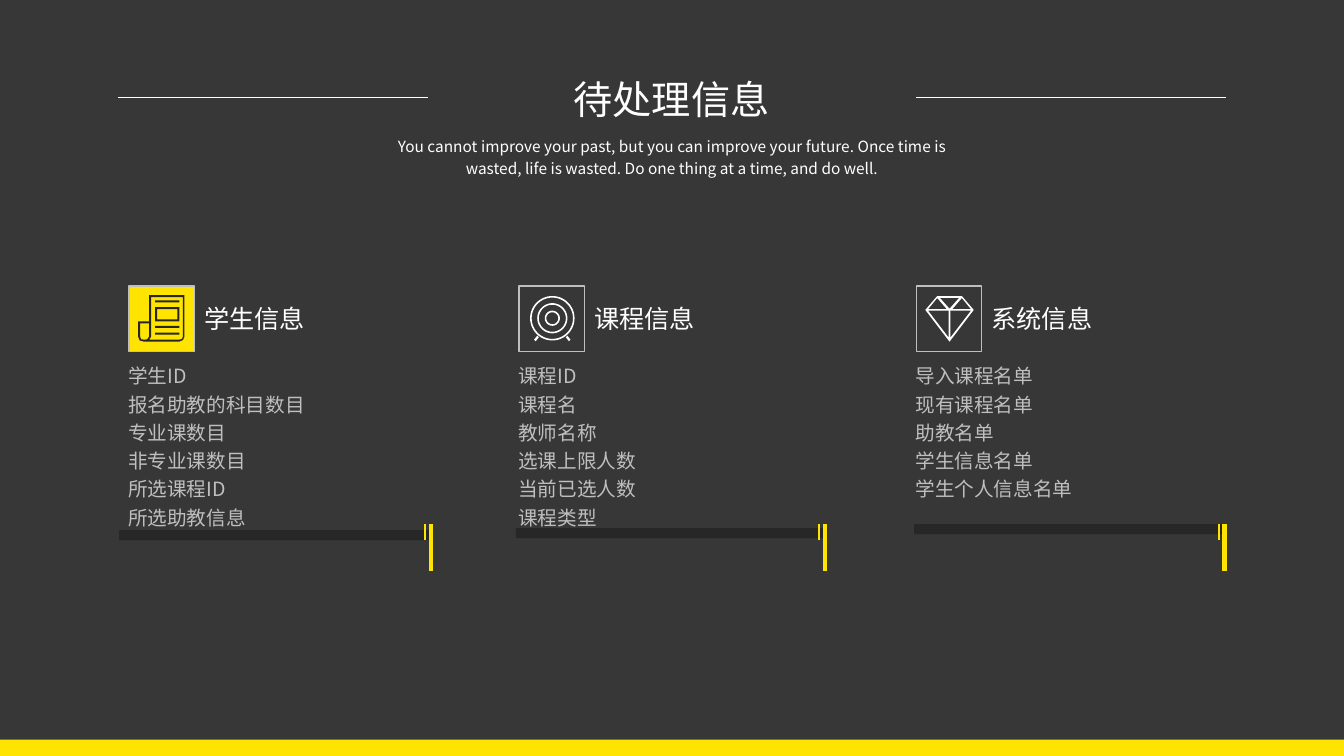
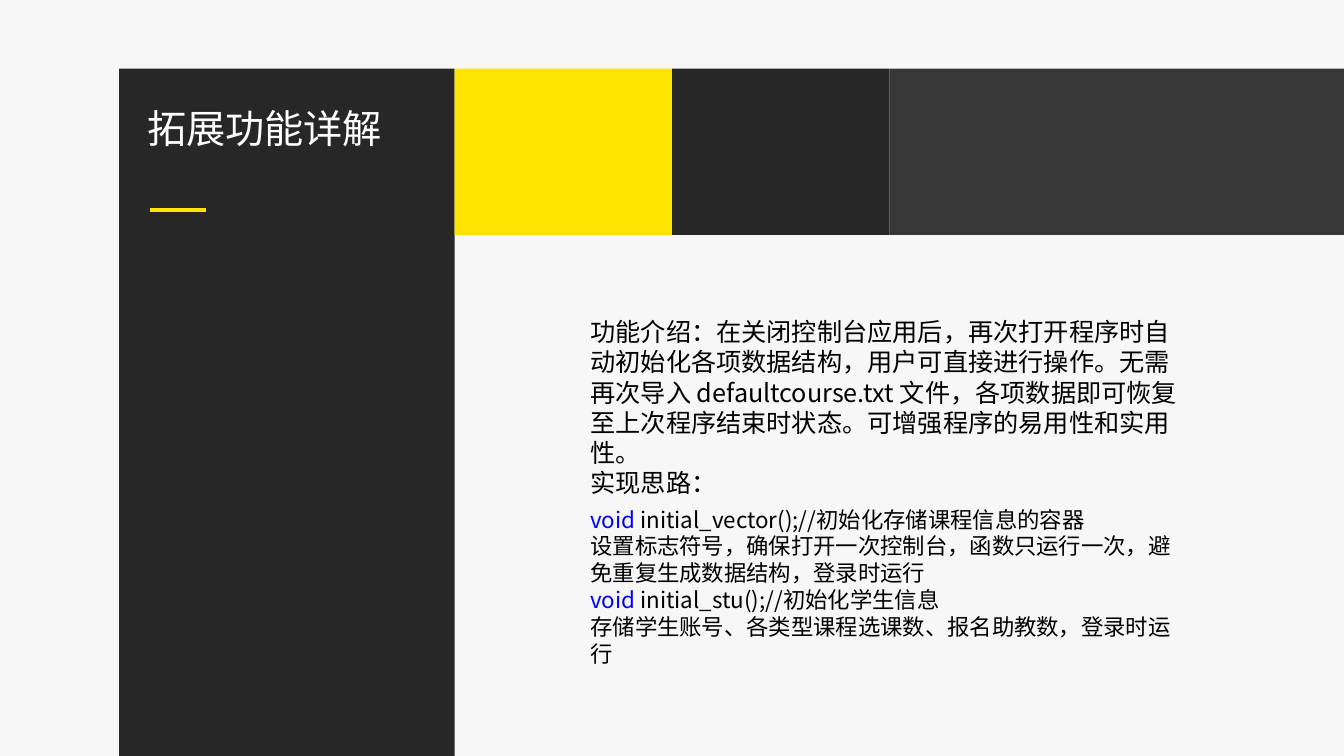
import math
from dataclasses import dataclass
from typing import NamedTuple

from lxml import etree
from pptx import Presentation
from pptx import util as u
from pptx.dml.color import RGBColor
from pptx.enum import shapes, text
from pptx.oxml import ns

# Shared style
YELLOW = RGBColor(0xFF, 0xE4, 0x01)
DARK = RGBColor(0x27, 0x27, 0x27)
GREY = RGBColor(0x37, 0x37, 0x37)
SILVER = RGBColor(0xBF, 0xBF, 0xBF)
PAPER = RGBColor(0xF7, 0xF7, 0xF7)
WHITE = RGBColor(0xFF, 0xFF, 0xFF)
BLACK = RGBColor(0, 0, 0)
BLUE = RGBColor(0, 0, 0xFF)
FONT = "Noto Sans CJK SC"
WIDTH, HEIGHT = 33.87, 19.05
LEFT, CENTER = text.PP_ALIGN.LEFT, text.PP_ALIGN.CENTER
ICON_SIZE = 1.65
CARD_TOP = 7.21
TICK_TOP = 13.21

Point = tuple[float, float]
Contour = list[Point]


class Box(NamedTuple):
    left: float
    top: float
    width: float
    height: float

    def lengths(self) -> list[u.Length]:
        return [u.Cm(value) for value in self]


class Run(NamedTuple):
    words: str
    color: RGBColor


@dataclass
class TextStyle:
    size: float
    align: int = LEFT
    wrap: bool = True
    spacing: float = 1.0


@dataclass
class Card:
    heading: str
    items: list[str]
    left: float
    icon: list[Contour]
    icon_color: RGBColor
    tile_color: RGBColor | None
    bar_left: float
    bar_top: float
    tick_x: float
    body_height: float = 4.5


TITLE = TextStyle(28, wrap=False)
CENTERED_TITLE = TextStyle(28, CENTER, wrap=False)
SUBTITLE = TextStyle(11, CENTER, spacing=1.2)
CARD_HEADING = TextStyle(18, wrap=False)
CARD_BODY = TextStyle(14, spacing=1.2)
INTRO = TextStyle(18)
CODE = TextStyle(16)


# Drawing helpers
def set_all(target: object, values: dict) -> None:
    for name, value in values.items():
        setattr(target, name, value)


def add_slide(presentation, color: RGBColor):
    slide = presentation.slides.add_slide(presentation.slide_layouts[6])
    slide.background.fill.solid()
    slide.background.fill.fore_color.rgb = color
    return slide


def paint(shape, fill: RGBColor | None, outline: RGBColor | None = None) -> None:
    shape.shadow.inherit = False
    if fill is None:
        shape.fill.background()
    else:
        shape.fill.solid()
        shape.fill.fore_color.rgb = fill
    if outline is None:
        shape.line.fill.background()
    else:
        shape.line.color.rgb = outline
        shape.line.width = u.Pt(1)


def add_block(slide, box: Box, fill: RGBColor | None,
              outline: RGBColor | None = None) -> None:
    shape = slide.shapes.add_shape(shapes.MSO_SHAPE.RECTANGLE, *box.lengths())
    paint(shape, fill, outline)


def add_line(slide, start: Point, end: Point, color: RGBColor, width: float) -> None:
    ends = [u.Cm(value) for value in (*start, *end)]
    line = slide.shapes.add_connector(shapes.MSO_CONNECTOR.STRAIGHT, *ends)
    set_all(line.line, {"width": u.Pt(width)})
    line.line.color.rgb = color
    etree.SubElement(line._element.spPr, ns.qn("a:effectLst"))


def add_text(slide, box: Box, paragraphs: list[list[Run]], style: TextStyle) -> None:
    frame = slide.shapes.add_textbox(*box.lengths()).text_frame
    set_all(frame, {"word_wrap": style.wrap,
                    "auto_size": text.MSO_AUTO_SIZE.SHAPE_TO_FIT_TEXT})
    for index, runs in enumerate(paragraphs):
        paragraph = frame.add_paragraph() if index else frame.paragraphs[0]
        set_all(paragraph, {"alignment": style.align, "line_spacing": style.spacing})
        for item in runs:
            run = paragraph.add_run()
            run.text = item.words
            set_all(run.font, {"size": u.Pt(style.size), "name": FONT})
            run.font.color.rgb = item.color
            east_asian = etree.SubElement(run.font._element, ns.qn("a:ea"))
            east_asian.set("typeface", FONT)


def plain(lines: list[str], color: RGBColor) -> list[list[Run]]:
    return [[Run(line, color)] for line in lines]


# Icon outlines, in cm from the tile corner
def rectangle(left: float, top: float, right: float, bottom: float) -> Contour:
    return [(left, top), (right, top), (right, bottom), (left, bottom)]


def circle(radius: float, x: float = 0.84, y: float = 0.81) -> Contour:
    angles = [math.tau * step / 60 for step in range(60)]
    return [(x + radius * math.cos(a), y + radius * math.sin(a)) for a in angles]


def mirror(contour: Contour, axis: float = 0.84) -> Contour:
    return [(2 * axis - x, y) for x, y in contour]


def add_icon(slide, card: Card) -> None:
    unit = 1000
    contours = [[(x * unit, y * unit) for x, y in contour] for contour in card.icon]
    builder = slide.shapes.build_freeform(*contours[0][0], scale=u.Cm(1) / unit)
    for index, contour in enumerate(contours):
        if index:
            builder.move_to(*contour[0])
        builder.add_line_segments(contour[1:], close=True)
    paint(builder.convert_to_shape(u.Cm(card.left), u.Cm(CARD_TOP)), card.icon_color)


NEWSPAPER = [
    [(0.51, 0.23), (1.4, 0.23), (1.4, 1.27), (1.36, 1.36), (1.27, 1.4),
     (0.38, 1.4), (0.27, 1.37), (0.23, 1.27), (0.23, 0.89), (0.51, 0.89)],
    [(0.28, 0.94), (0.51, 0.94), (0.51, 1.27), (0.46, 1.34), (0.39, 1.35),
     (0.31, 1.34), (0.28, 1.27)],
    [(1.36, 0.28), (0.56, 0.28), (0.56, 1.27), (0.51, 1.35), (1.27, 1.35),
     (1.34, 1.33), (1.36, 1.27)],
    rectangle(0.66, 0.53, 1.27, 0.89),
    rectangle(0.71, 0.58, 1.22, 0.84),
    *[rectangle(0.66, top, 1.27, top + 0.05) for top in (0.36, 1.0, 1.17)],
]
FOOT = [(0.46, 1.25), (0.38, 1.35), (0.42, 1.39), (0.5, 1.29)]
TARGET = [*[circle(radius) for radius in (0.56, 0.52, 0.38, 0.34, 0.19, 0.15)],
          FOOT, mirror(FOOT)]
LOWER_FACET = [(0.82, 0.62), (0.3, 0.62), (0.82, 1.3)]
UPPER_FACET = [(0.53, 0.3), (0.3, 0.58), (0.77, 0.58)]
DIAMOND = [
    [(0.53, 0.25), (1.15, 0.25), (1.45, 0.6), (0.84, 1.4), (0.23, 0.6)],
    [(0.84, 0.57), (1.08, 0.3), (0.6, 0.3)],
    LOWER_FACET, mirror(LOWER_FACET), UPPER_FACET, mirror(UPPER_FACET),
]

CARDS = [
    Card("学生信息", ["学生ID", "报名助教的科目数目", "专业课数目", "非专业课数目",
                  "所选课程ID", "所选助教信息"],
         3.25, NEWSPAPER, DARK, YELLOW, 3.0, 13.36, 10.87),
    Card("课程信息", ["课程ID", "课程名", "教师名称", "选课上限人数",
                  "当前已选人数", "课程类型"],
         13.08, TARGET, WHITE, None, 13.0, 13.31, 20.8),
    Card("系统信息", ["导入课程名单", "现有课程名单", "助教名单", "学生信息名单",
                  "学生个人信息名单"],
         23.09, DIAMOND, WHITE, None, 23.04, 13.21, 30.86, 3.78),
]


def add_card(slide, card: Card) -> None:
    add_block(slide, Box(card.left, CARD_TOP, ICON_SIZE, ICON_SIZE),
              card.tile_color, SILVER)
    add_icon(slide, card)
    add_text(slide, Box(card.left + ICON_SIZE, 7.52, 3.07, 1.02),
             plain([card.heading], WHITE), CARD_HEADING)
    add_text(slide, Box(card.left - 0.27, 8.94, 8.1, card.body_height),
             plain(card.items, SILVER), CARD_BODY)
    add_block(slide, Box(card.bar_left, card.bar_top, 7.85, 0.25), DARK)
    for x, bottom, width in ((card.tick_x, 14.38, 3), (card.tick_x - 0.15, 13.61, 1.5)):
        add_line(slide, (x, TICK_TOP), (x, bottom), YELLOW, width)


# Slides
def build_pending_slide(presentation) -> None:
    slide = add_slide(presentation, GREY)
    add_text(slide, Box(14.17, 1.78, 5.51, 1.45),
             plain(["待处理信息"], WHITE), CENTERED_TITLE)
    for left in (2.97, 23.09):
        add_line(slide, (left, 2.46), (left + 7.81, 2.46), WHITE, 0.5)
    add_text(slide, Box(9.42, 3.23, 15.04, 1.35),
             plain(["You cannot improve your past, but you can improve your future. "
                    "Once time is wasted, life is wasted. Do one thing at a time, "
                    "and do well."], WHITE), SUBTITLE)
    for card in CARDS:
        add_card(slide, card)
    add_block(slide, Box(0, 18.64, WIDTH, 0.41), YELLOW)


def build_extension_slide(presentation) -> None:
    slide = add_slide(presentation, PAPER)
    top, band_left, step = 1.73, 11.46, 5.48
    # Side panel and top band
    add_block(slide, Box(3.0, top, band_left - 3.0, HEIGHT - top), DARK)
    for index, color in enumerate((YELLOW, DARK, GREY)):
        left = band_left + index * step
        width = WIDTH - left if color == GREY else step
        add_block(slide, Box(left, top, width, 4.19), color)
    add_text(slide, Box(3.46, 2.5, 6.5, 1.45), plain(["拓展功能详解"], WHITE), TITLE)
    add_line(slide, (3.79, 5.29), (5.2, 5.29), YELLOW, 3)
    # Description and code notes
    add_text(slide, Box(14.63, 7.85, 15.67, 4.88), plain([
        "功能介绍：在关闭控制台应用后，再次打开程序时自动初始化各项数据结构，"
        "用户可直接进行操作。无需再次导入 defaultcourse.txt 文件，"
        "各项数据即可恢复至上次程序结束时状态。可增强程序的易用性和实用性。",
        "实现思路：",
    ], BLACK), INTRO)
    keyword = Run("void ", BLUE)
    add_text(slide, Box(14.63, 12.62, 15.42, 4.37), [
        [keyword, Run("initial_vector();//初始化存储课程信息的容器", BLACK)],
        [Run("设置标志符号，确保打开一次控制台，函数只运行一次，"
             "避免重复生成数据结构，登录时运行", BLACK)],
        [keyword, Run("initial_stu();//初始化学生信息", BLACK)],
        [Run("存储学生账号、各类型课程选课数、报名助教数，登录时运行", BLACK)],
    ], CODE)


def main() -> None:
    presentation = Presentation()
    set_all(presentation, {"slide_width": u.Cm(WIDTH), "slide_height": u.Cm(HEIGHT)})
    build_pending_slide(presentation)
    build_extension_slide(presentation)
    presentation.save("out.pptx")


if __name__ == "__main__":
    main()
